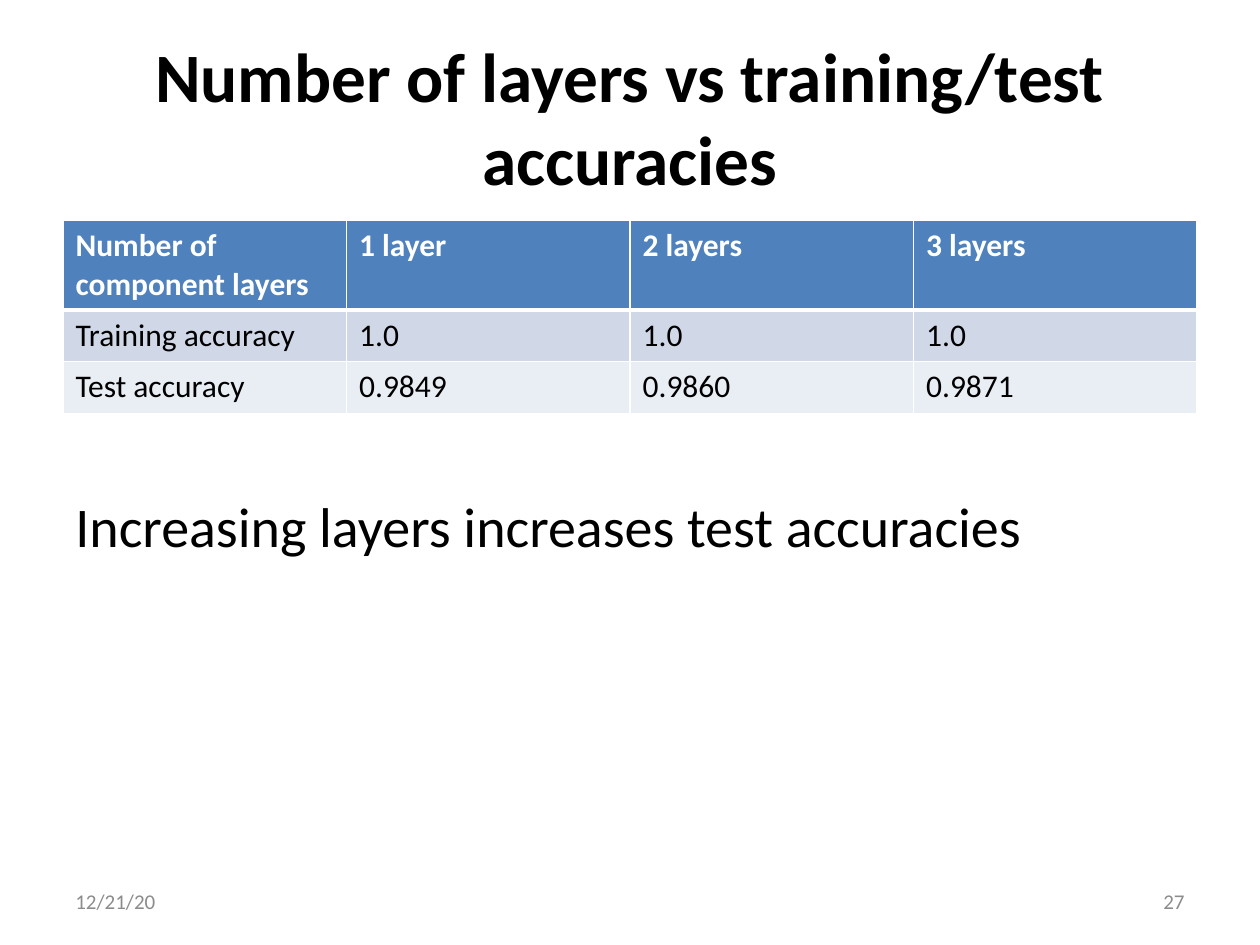
import pptx
import pptx.dml.color
import pptx.enum.text
import pptx.oxml
import pptx.oxml.ns
import pptx.util
from pptx.util import Inches

ALIGN = pptx.enum.text.PP_ALIGN
ANCHOR = pptx.enum.text.MSO_ANCHOR

ROWS = [
    ["Number of component layers", "1 layer", "2 layers", "3 layers"],
    ["Training accuracy", "1.0", "1.0", "1.0"],
    ["Test accuracy", "0.9849", "0.9860", "0.9871"],
]
FILLS = ["4F81BD", "D0D8E8", "E9EDF4"]
HEIGHTS = [0.7, 0.41, 0.41]


def color(code):
    return pptx.dml.color.RGBColor.from_string(code)


def write(frame, text, size=18, ink="000000", bold=False,
          align=ALIGN.LEFT, anchor=ANCHOR.TOP):
    frame.word_wrap = True
    frame.vertical_anchor = anchor
    para = frame.paragraphs[0]
    para.alignment = align
    run = para.add_run()
    run.text = text
    font = run.font
    font.name = "Calibri"
    font.size = pptx.util.Pt(size)
    font.bold = bold
    font.color.rgb = color(ink)


def label(slide, box, text, **style):
    shape = slide.shapes.add_textbox(*map(Inches, box))
    write(shape.text_frame, text, **style)


def heading(slide, box, text):
    title = slide.shapes.title
    title.left, title.top, title.width, title.height = map(Inches, box)
    write(title.text_frame, text, size=39.6, bold=True,
          align=ALIGN.CENTER, anchor=ANCHOR.MIDDLE)


def border(cell, side, width, ink="FFFFFF"):
    space = pptx.oxml.ns.nsdecls("a")
    line = pptx.oxml.parse_xml(
        f'<a:{side} {space} w="{pptx.util.Pt(width)}"><a:solidFill>'
        f'<a:srgbClr val="{ink}"/></a:solidFill></a:{side}>')
    cell._tc.get_or_add_tcPr().append(line)


def grid(slide, box):
    left, top, width, height = map(Inches, box)
    count = len(ROWS[0])
    table = slide.shapes.add_table(
        len(ROWS), count, left, top, width, height).table
    for col in table.columns:
        col.width = width // count
    for r, row in enumerate(ROWS):
        table.rows[r].height = Inches(HEIGHTS[r])
        head = r == 0
        for c, text in enumerate(row):
            cell = table.cell(r, c)
            write(cell.text_frame, text, bold=head,
                  ink="FFFFFF" if head else "000000")
            # Borders come before the fill in the cell's XML
            for side in ("lnL", "lnR", "lnT", "lnB"):
                thick = (head and side == "lnB") or (r == 1 and side == "lnT")
                border(cell, side, 3 if thick else 1)
            cell.fill.solid()
            cell.fill.fore_color.rgb = color(FILLS[r])


def footer(slide, box):
    left, top, width, height = box
    part = 2.33
    style = dict(size=12, ink="8C8C8C", anchor=ANCHOR.MIDDLE)
    label(slide, (left, top, part, height), "12/21/20", **style)
    label(slide, (left + width - part, top, part, height), "27",
          align=ALIGN.RIGHT, **style)


def main():
    deck = pptx.Presentation()
    deck.slide_width, deck.slide_height = Inches(10), Inches(7.5)
    slide = deck.slides.add_slide(deck.slide_layouts[5])

    # Title
    heading(slide, (0.5, 0.3, 9, 1.25),
            "Number of layers vs training/test accuracies")
    # Accuracy table
    grid(slide, (0.5, 1.75, 9, sum(HEIGHTS)))
    # Date and slide number
    footer(slide, (0.5, 6.95, 9, 0.4))
    # Finding
    label(slide, (0.5, 3.85, 9, 0.64),
          "Increasing layers increases test accuracies", size=32)

    deck.save("out.pptx")


if __name__ == "__main__":
    main()
